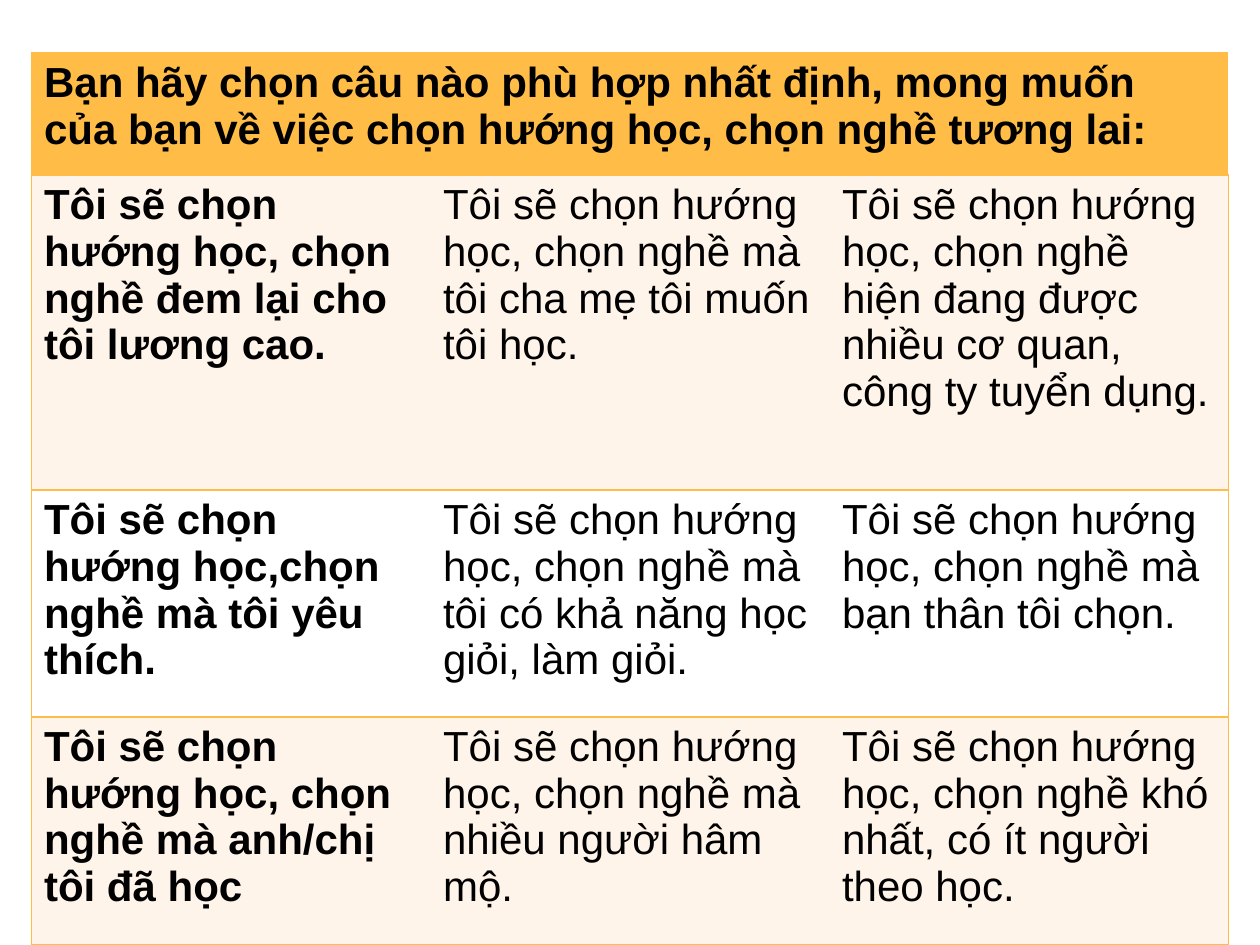
from lxml.etree import SubElement
from pptx import Presentation
from pptx.dml.color import RGBColor
from pptx.oxml.ns import qn
from pptx.util import Inches, Pt

HEADING = "Bạn hãy chọn câu nào phù hợp nhất định, mong muốn của bạn về việc chọn hướng học, chọn nghề tương lai:"
CHOICES = [
    ["Tôi sẽ chọn hướng học, chọn nghề đem lại cho tôi lương cao.",
     "Tôi sẽ chọn hướng học, chọn nghề mà tôi cha mẹ tôi muốn tôi học.",
     "Tôi sẽ chọn hướng học, chọn nghề hiện đang được nhiều cơ quan, công ty tuyển dụng."],
    ["Tôi sẽ chọn hướng học,chọn nghề mà tôi yêu thích.",
     "Tôi sẽ chọn hướng học, chọn nghề mà tôi có khả năng học giỏi, làm giỏi.",
     "Tôi sẽ chọn hướng học, chọn nghề mà bạn thân tôi chọn."],
    ["Tôi sẽ chọn hướng học, chọn nghề mà anh/chị tôi đã học",
     "Tôi sẽ chọn hướng học, chọn nghề mà nhiều người hâm mộ.",
     "Tôi sẽ chọn hướng học, chọn nghề khó nhất, có ít người theo học."],
]
ROWS = [[HEADING, "", ""]] + CHOICES
ROW_HEIGHTS = [0.97, 2.5, 1.8, 1.81]
ROW_FILLS = ["FFBD47", "FFF4E9", "FFFFFF", "FFF4E9"]
BORDER = "FFBD47"
COLUMN_COUNT = 3
LEFT, TOP, WIDTH = 0.25, 0.42, 9.5


def color(value):
    return RGBColor.from_string(value)


def add_border(cell, edge, visible):
    properties = cell._tc.get_or_add_tcPr()
    line = SubElement(properties, qn(f"a:ln{edge}"), w=str(Pt(1)))
    if visible:
        fill = SubElement(line, qn("a:solidFill"))
        SubElement(fill, qn("a:srgbClr"), val=BORDER)
    else:
        SubElement(line, qn("a:noFill"))


def style_cell(cell, text, row, column):
    edges = {"L": column == 0, "R": column == COLUMN_COUNT - 1, "T": True, "B": True}
    for edge, visible in edges.items():
        add_border(cell, edge, visible)
    cell.fill.solid()
    cell.fill.fore_color.rgb = color(ROW_FILLS[row])
    if not text:
        return
    cell.text = text
    font = cell.text_frame.paragraphs[0].font
    font.name = "Arial"
    font.size = Pt(24)
    font.bold = row == 0 or column == 0
    font.color.rgb = color("000000")


presentation = Presentation()
presentation.slide_width = Inches(10)
presentation.slide_height = Inches(7.5)
slide = presentation.slides.add_slide(presentation.slide_layouts[6])

table = slide.shapes.add_table(
    len(ROWS), COLUMN_COUNT, Inches(LEFT), Inches(TOP), Inches(WIDTH), Inches(sum(ROW_HEIGHTS))
).table
for column in table.columns:
    column.width = Inches(WIDTH / COLUMN_COUNT)
for table_row, height in zip(table.rows, ROW_HEIGHTS):
    table_row.height = Inches(height)

table.cell(0, 0).merge(table.cell(0, COLUMN_COUNT - 1))
for row_index, texts in enumerate(ROWS):
    for column_index, text in enumerate(texts):
        style_cell(table.cell(row_index, column_index), text, row_index, column_index)

presentation.save("out.pptx")
